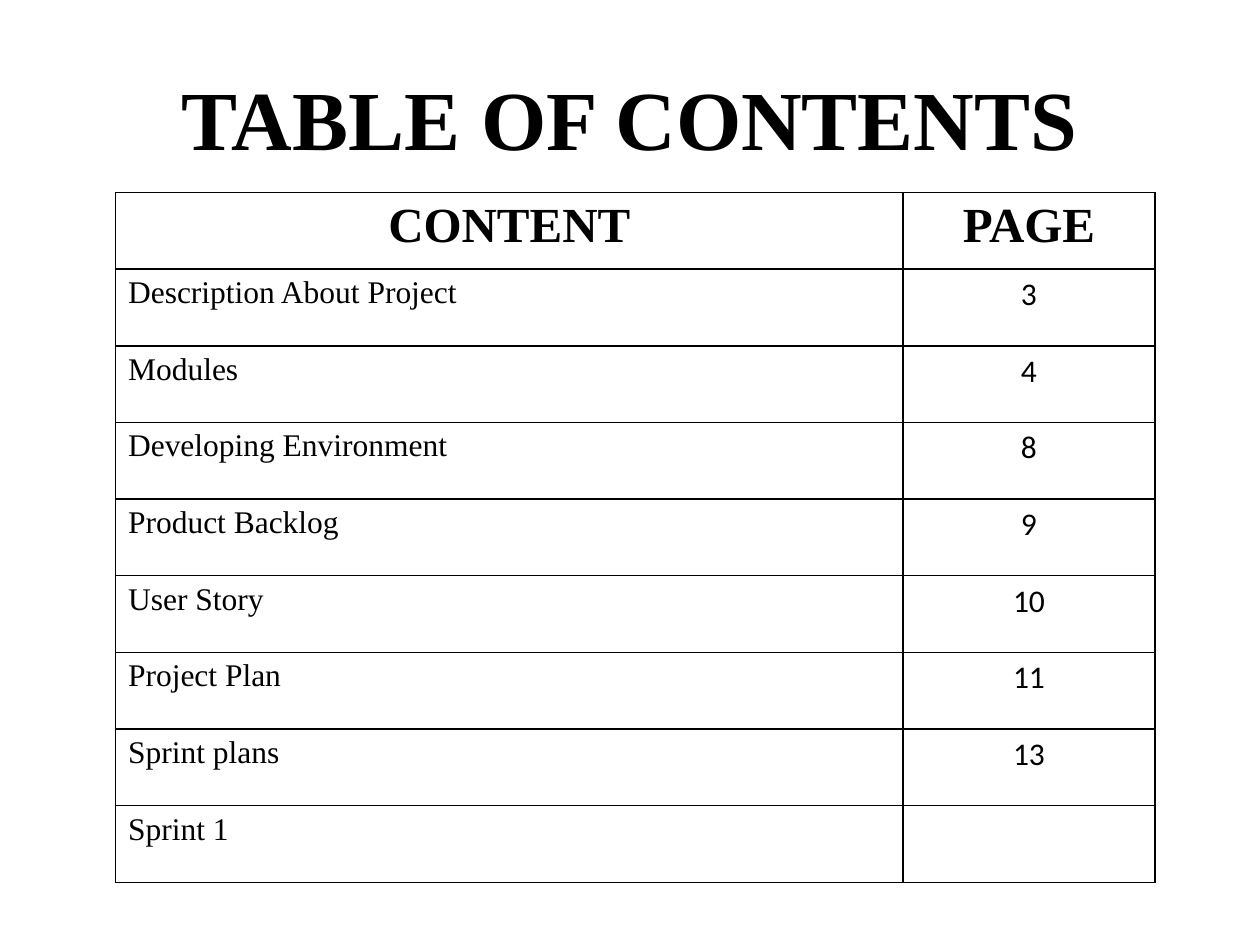
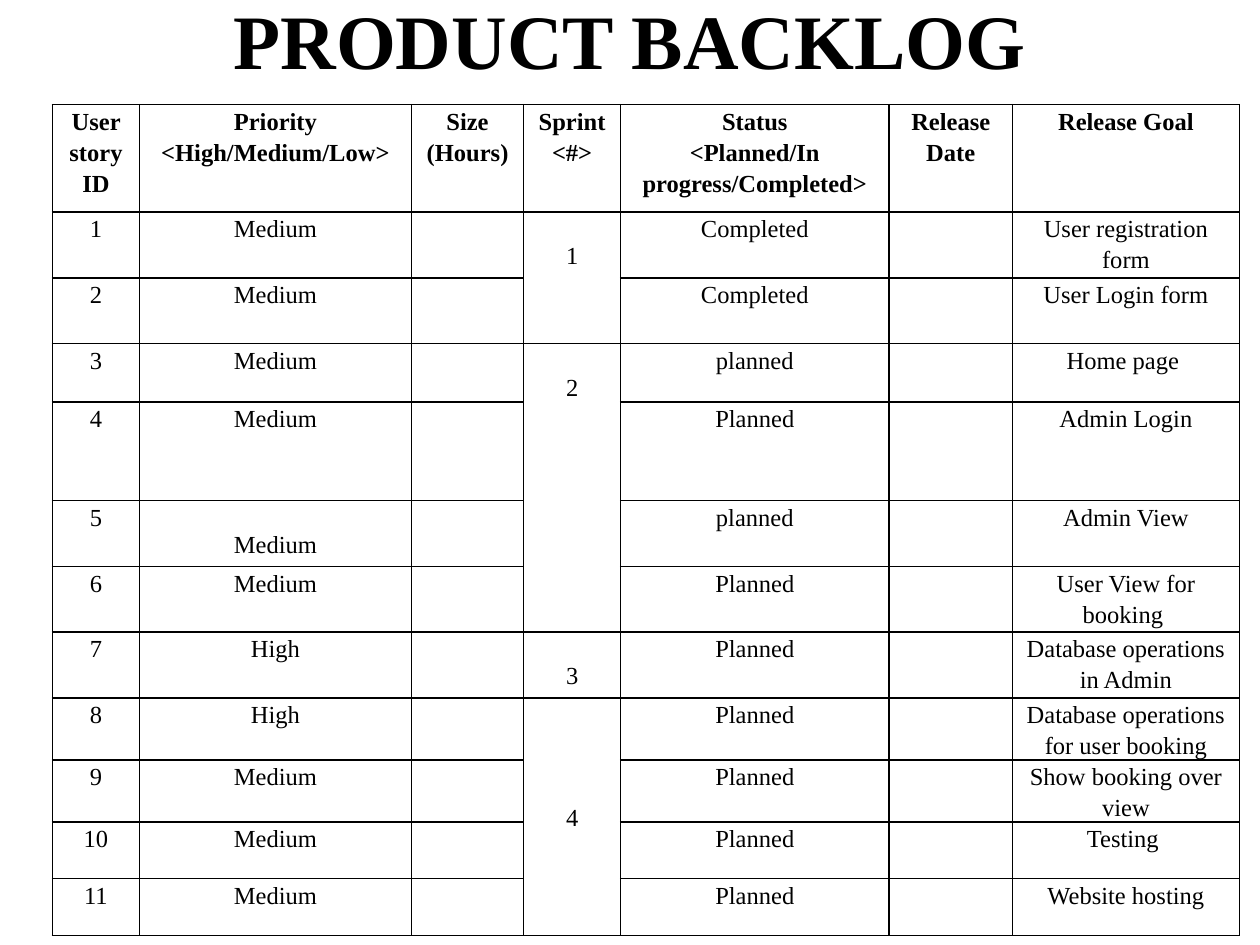
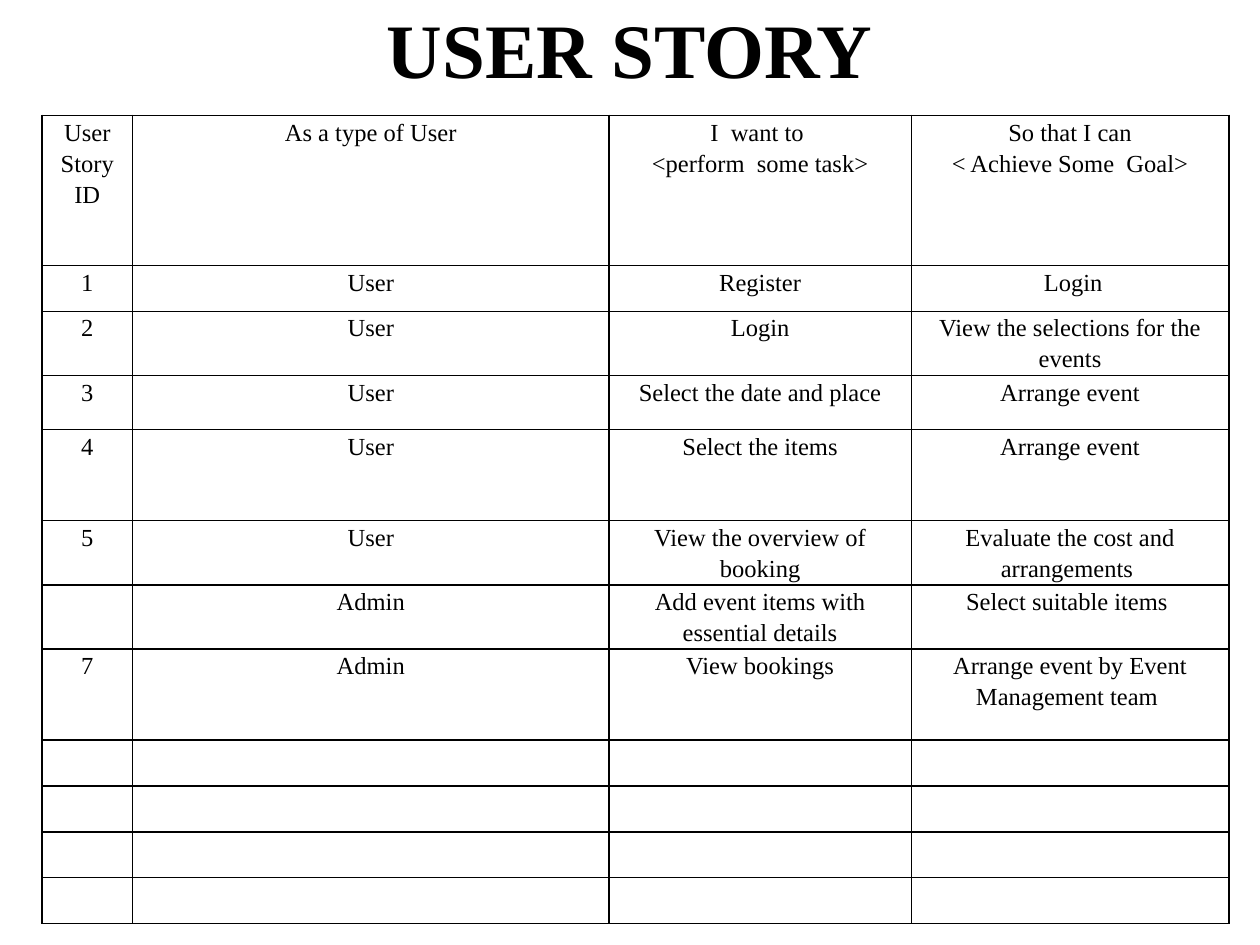
from lxml import etree
from pptx import Presentation
from pptx.dml.color import RGBColor
from pptx.enum.text import MSO_ANCHOR, PP_ALIGN
from pptx.oxml.ns import qn
from pptx.util import Pt

CENTER, LEFT = PP_ALIGN.CENTER, PP_ALIGN.LEFT
MIDDLE = MSO_ANCHOR.MIDDLE
SERIF, SANS = "Times New Roman", "Calibri"
INK = "000000"
LINE_HEIGHT = Pt(17.7)


def color(value):
    return RGBColor.from_string(value)


class Deck:
    """Shared style, with the slide being built."""

    def __init__(self):
        self.deck = Presentation()
        self.deck.slide_width, self.deck.slide_height = Pt(720), Pt(540)
        self.page = None

    def add_page(self):
        self.page = self.deck.slides.add_slide(self.deck.slide_layouts[6])

    def style(self, para, size, bold=False, align=CENTER, name=SERIF):
        para.alignment = align
        font = para.font
        font.size, font.bold, font.name = Pt(size), bold, name
        font.color.rgb = color(INK)
        # The paragraph mark takes the text size, so it never stretches a line
        etree.SubElement(para._p, qn("a:endParaRPr"), sz=str(size * 100))

    def title(self, text, top, height, size=44):
        box = self.page.shapes.add_textbox(Pt(36), Pt(top), Pt(648), Pt(height))
        frame = box.text_frame
        frame.word_wrap = True
        frame.vertical_anchor = MIDDLE
        frame.text = text
        self.style(frame.paragraphs[0], size, bold=True)

    def border(self, cell):
        properties = cell._tc.get_or_add_tcPr()
        for side in ("lnL", "lnR", "lnT", "lnB"):
            line = etree.SubElement(properties, qn("a:" + side), w=str(Pt(1)))
            fill = etree.SubElement(line, qn("a:solidFill"))
            etree.SubElement(fill, qn("a:srgbClr"), val=INK)

    def table(self, left, top, widths, heights, rows, look, margins, spacing=None):
        """Draw a grid; look(row, column) gives the text style of a cell."""
        frame = self.page.shapes.add_table(
            len(rows), len(widths), Pt(left), Pt(top), Pt(sum(widths)), Pt(sum(heights)))
        table = frame.table
        table.first_row = table.horz_banding = False
        for column, width in zip(table.columns, widths):
            column.width = Pt(width)
        side, edge = margins
        for r, (row, height) in enumerate(zip(rows, heights)):
            table.rows[r].height = Pt(height)
            for c, text in enumerate(row):
                cell = table.cell(r, c)
                self.border(cell)
                cell.fill.background()
                cell.margin_left = cell.margin_right = Pt(side)
                cell.margin_top = cell.margin_bottom = Pt(edge)
                cell.text = text
                for para in cell.text_frame.paragraphs:
                    self.style(para, **look(r, c))
                    if spacing:
                        para.line_spacing = spacing
        return table


def contents_look(row, column):
    if row == 0:
        return {"size": 28, "bold": True}
    if column == 0:
        return {"size": 18, "align": LEFT}
    return {"size": 18, "name": SANS}


def backlog_look(row, column):
    return {"size": 14, "bold": row == 0}


def story_look(row, column):
    return {"size": 14}


def build_contents(deck):
    deck.add_page()
    deck.title("TABLE OF CONTENTS", 21.6, 90, size=48)
    rows = [
        ("CONTENT", "PAGE"),
        ("Description About Project", "3"),
        ("Modules", "4"),
        ("Developing Environment", "8"),
        ("Product Backlog", "9"),
        ("User Story", "10"),
        ("Project Plan", "11"),
        ("Sprint plans", "13"),
        ("Sprint 1", ""),
    ]
    deck.table(66, 110, [450, 144], [43.8] * len(rows), rows, contents_look, (7.2, 3.6))


def build_backlog(deck):
    deck.add_page()
    deck.title("PRODUCT BACKLOG", -12.2, 68.4)
    header = ("User story ID", "Priority\n<High/Medium/Low>", "Size\n(Hours)",
              "Sprint\n<#>", "Status\n<Planned/In progress/Completed>",
              "Release\nDate", "Release Goal")
    # Priority, sprint, status, goal
    stories = [
        ("Medium", "1", "Completed", "User registration form"),
        ("Medium", "", "Completed", "User Login form"),
        ("Medium", "2", "planned", "Home page "),
        ("Medium", "", "Planned", "Admin Login"),
        ("Medium", "", "planned", "Admin View"),
        ("Medium", "", "Planned", "User View for booking "),
        ("High", "3", "Planned", "Database operations in Admin"),
        ("High", "4", "Planned", "Database operations for user booking"),
        ("Medium", "", "Planned", "Show booking over view"),
        ("Medium", "", "Planned", "Testing "),
        ("Medium", "", "Planned", "Website hosting"),
    ]
    rows = [header] + [
        (str(number), priority, "", sprint, status, "", goal)
        for number, (priority, sprint, status, goal) in enumerate(stories, 1)]
    widths = [49.7, 155.5, 64.1, 55.4, 153.4, 70.6, 129.6]
    heights = [61.4, 37.6, 37.6, 33.2, 56.5, 37.6, 37.6, 37.6, 35.4, 35.4, 32.4, 32.4]
    table = deck.table(30, 59.8, widths, heights, rows, backlog_look, (4.5, 0), LINE_HEIGHT)
    # Sprints that cover several stories
    for first, last in ((1, 2), (3, 6), (8, 11)):
        table.cell(first, 3).merge(table.cell(last, 3))
    table.cell(8, 3).vertical_anchor = MIDDLE
    # Values set one line lower
    for row, column in ((1, 3), (3, 3), (5, 1), (7, 3)):
        table.cell(row, column).margin_top = Pt(15.5)


def build_stories(deck):
    deck.add_page()
    deck.title("USER STORY", -5.8, 66.2)
    rows = [
        ("User Story ID", "As a type of User", "I  want to \n<perform  some task>",
         "So that I can\n< Achieve Some  Goal>"),
        ("1", "User", "Register", " Login"),
        ("2", "User", "Login", "View the selections for the events"),
        ("3", "User", "Select the date and place", "Arrange event"),
        ("4", "User", "Select the items", "Arrange event"),
        ("5", "User", "View the overview of booking",
         "Evaluate the cost and arrangements "),
        ("", "Admin", "Add event items with essential details",
         "Select suitable items "),
        ("7", "Admin", "View bookings", "Arrange event by Event Management team "),
    ] + [("",) * 4] * 4
    widths = [51.8, 272.2, 172.8, 181.4]
    heights = [85.7, 26.2, 36.6, 30.9, 52.2, 36.6, 36.6, 52.2] + [26.2] * 4
    deck.table(24, 66, widths, heights, rows, story_look, (5, 0), LINE_HEIGHT)


def main():
    deck = Deck()
    build_contents(deck)
    build_backlog(deck)
    build_stories(deck)
    deck.deck.save("out.pptx")


if __name__ == "__main__":
    main()
